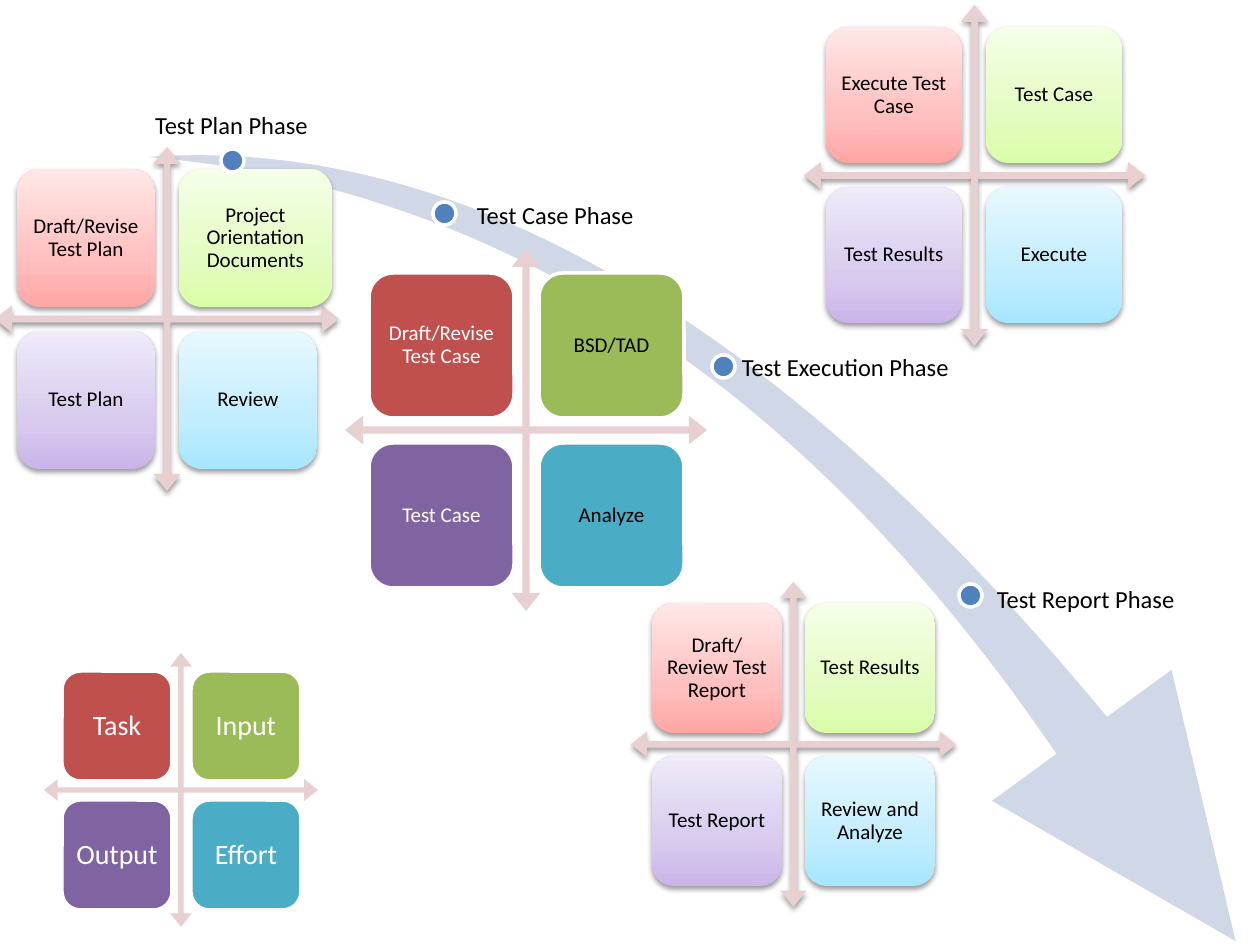
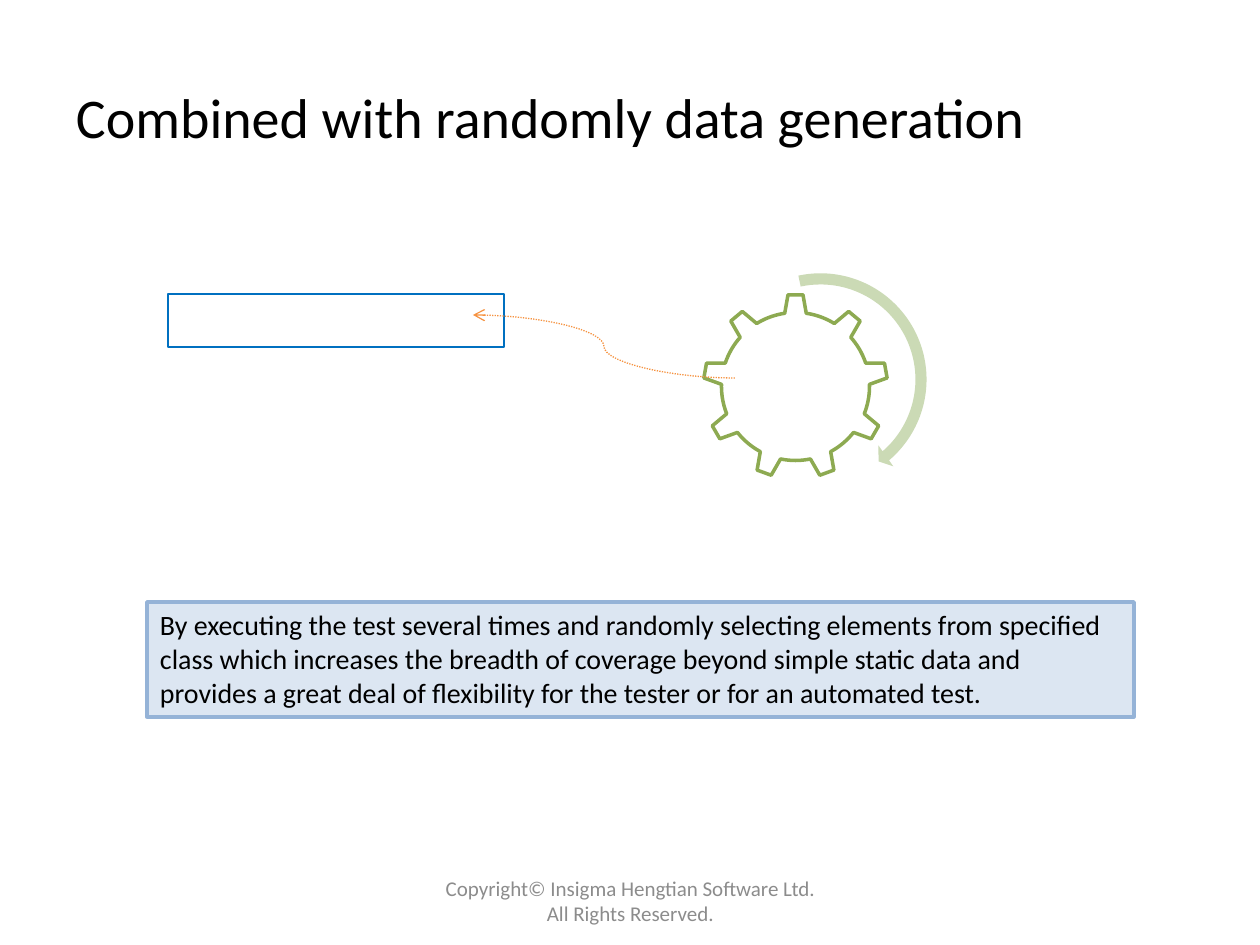
"""Build two slides: the four phases of testing, and random data generation."""
import copy
import dataclasses
import typing

import lxml.etree
import pptx
import pptx.dml.color
import pptx.enum.dml
import pptx.enum.shapes
import pptx.enum.text
import pptx.oxml.ns
import pptx.util

PX = 914400 / 126
FONT = "Calibri"
COLORS = {
    "white": "FFFFFF", "black": "000000", "grey": "8C8C8C",
    "swoosh": "D0D8E8", "axes": "E8D0D0", "dot": "4F81BD",
    "red": "C0504D", "green": "9BBB59", "purple": "8064A2", "aqua": "4BACC6",
    "red_0": "FFA6A5", "red_1": "FFC0BF", "red_2": "FFE7E7",
    "green_0": "DAFDA7", "green_1": "E4FCC2", "green_2": "F5FFE7",
    "purple_0": "C9B5E8", "purple_1": "D8CBEE", "purple_2": "F0EAF9",
    "aqua_0": "A7E6FF", "aqua_1": "C1EDFF", "aqua_2": "E7F8FF",
    "gear": "8DAA51", "turn": "CBDAB5", "field": "0070C0", "link": "F69240",
    "note": "DCE6F2", "note_edge": "95B3D7",
}
HUES = ("red", "green", "purple", "aqua")
STOPS = (0, 0.35, 1)
SHAPE = pptx.enum.shapes.MSO_SHAPE
ALIGN = pptx.enum.text.PP_ALIGN
ANCHOR = pptx.enum.text.MSO_ANCHOR
Box = tuple[int, int, int, int]


@dataclasses.dataclass
class Matrix:
    left: int
    top: int
    size: int
    words: tuple[str, str, str, str]
    glossy: bool = True
    inks: tuple[str, ...] = ("black",) * 4
    font_size: int = 12
    inset: int = 6
    extra_widths: tuple[int, ...] = (0, 0, 0, 0)


@dataclasses.dataclass
class Phase:
    name: str
    dot: tuple[int, int]
    label: Box
    indent: int


LEGEND = Matrix(44, 653, 274, ("Task", "Input", "Output", "Effort"), False,
                ("white",) * 4, 16, 4)
MATRICES = (
    Matrix(345, 249, 362,
           ("Draft/Revise Test Case", "BSD/TAD", "Test Case", "Analyze"),
           False, ("white", "black", "white", "black")),
    Matrix(-5, 147, 344,
           ("Draft/Revise Test Plan", "Project Orientation Documents",
            "Test Plan", "Review"), extra_widths=(0, 15, 0, 0)),
    LEGEND,
    Matrix(631, 582, 325,
           ("Draft/Review Test Report", "Test Results", "Test Report",
            "Review and Analyze")),
)
EXECUTION = Matrix(804, 5, 341,
                   ("Execute Test Case", "Test Case", "Test Results", "Execute"))
PHASES = (
    Phase("Test Plan Phase", (221, 149), (142, 113, 170, 42), 13),
    Phase("Test Case Phase", (433, 202), (456, 203, 209, 42), 21),
    Phase("Test Execution Phase", (712, 355), (714, 355, 275, 52), 28),
    Phase("Test Report Phase", (959, 584), (959, 587, 255, 43), 38),
)


def px(value: float) -> int:
    return round(value * PX)


def rgb(name: str) -> pptx.dml.color.RGBColor:
    return pptx.dml.color.RGBColor.from_string(COLORS[name])


def put_text(sp: typing.Any, text: str, *, size: int, color: str = "black",
             align: typing.Any = ALIGN.LEFT, anchor: typing.Any = ANCHOR.TOP,
             insets: Box = (13, 6, 13, 6), spacing: float = 1.0) -> None:
    tf = sp.text_frame
    tf.word_wrap = True
    tf.vertical_anchor = anchor
    tf.margin_left, tf.margin_top, tf.margin_right, tf.margin_bottom = map(px, insets)
    p = tf.paragraphs[0]
    p.alignment = align
    p.line_spacing = spacing
    r = p.add_run()
    r.text = text
    r.font.name = FONT
    r.font.size = pptx.util.Pt(size)
    r.font.color.rgb = rgb(color)


def add_shape(s: typing.Any, kind: typing.Any, box: Box, fill: str,
              line: str | None = None, width: float = 2,
              adjustments: tuple[float, ...] = ()) -> typing.Any:
    sp = s.shapes.add_shape(kind, *map(px, box))
    sp.shadow.inherit = False
    for i, value in enumerate(adjustments):
        sp.adjustments[i] = value
    sp.fill.solid()
    sp.fill.fore_color.rgb = rgb(fill)
    if line:
        sp.line.color.rgb = rgb(line)
        sp.line.width = pptx.util.Pt(width)
    else:
        sp.line.fill.background()
    return sp


def add_label(s: typing.Any, box: Box, text: str, **fmt: typing.Any) -> None:
    put_text(s.shapes.add_textbox(*map(px, box)), text, **fmt)


def add_shadow(sp: typing.Any) -> None:
    qn = pptx.oxml.ns.qn
    effects = sp._element.spPr.find(qn("a:effectLst"))
    shadow = lxml.etree.SubElement(
        effects, qn("a:outerShdw"), blurRad=str(pptx.util.Pt(3.15)),
        dist=str(pptx.util.Pt(1.6)), dir="5400000", rotWithShape="0")
    color = lxml.etree.SubElement(shadow, qn("a:srgbClr"), val=COLORS["black"])
    lxml.etree.SubElement(color, qn("a:alpha"), val="38000")


def add_gradient(sp: typing.Any, hue: str) -> None:
    sp.fill.gradient()
    sp.fill.gradient_angle = 90
    first = sp._element.spPr.find(".//" + pptx.oxml.ns.qn("a:gs"))
    first.addnext(copy.deepcopy(first))
    for i, stop in enumerate(sp.fill.gradient_stops):
        stop.color.rgb = rgb(f"{hue}_{i}")
        stop.position = STOPS[i]


def add_matrix(s: typing.Any, m: Matrix) -> None:
    axes = add_shape(s, SHAPE.QUAD_ARROW, (m.left, m.top, m.size, m.size), "axes",
                     adjustments=(0.02, 0.04, 0.05))
    if m.glossy:
        add_shadow(axes)
    side = round(0.4 * m.size)
    offsets = (round(0.065 * m.size), round(0.535 * m.size))
    for i, (word, hue, ink) in enumerate(zip(m.words, HUES, m.inks)):
        row, col = divmod(i, 2)
        box = (m.left + offsets[col], m.top + offsets[row],
               side + m.extra_widths[i], side)
        card = add_shape(s, SHAPE.ROUNDED_RECTANGLE, box, hue,
                         None if m.glossy else "white")
        if m.glossy:
            add_gradient(card, hue)
            add_shadow(card)
        put_text(card, word, size=m.font_size, color=ink, align=ALIGN.CENTER,
                 anchor=ANCHOR.MIDDLE, insets=(m.inset,) * 4, spacing=0.9)


def add_link(s: typing.Any, start: tuple[int, int], end: tuple[int, int]) -> None:
    qn = pptx.oxml.ns.qn
    link = s.shapes.add_connector(pptx.enum.shapes.MSO_CONNECTOR.CURVE,
                                  *map(px, start + end))
    link.line.color.rgb = rgb("link")
    link.line.width = pptx.util.Pt(0.75)
    link.line.dash_style = pptx.enum.dml.MSO_LINE.ROUND_DOT
    spPr = link._element.spPr
    lxml.etree.SubElement(spPr.find(qn("a:ln")), qn("a:headEnd"), type="arrow")
    lxml.etree.SubElement(spPr, qn("a:effectLst"))


def build_phases(prs: typing.Any) -> None:
    s = prs.slides.add_slide(prs.slide_layouts[6])
    swoosh = add_shape(s, SHAPE.SWOOSH_ARROW, (116, 212, 1220, 635), "swoosh",
                       adjustments=(0.098, 0.407))
    swoosh.rotation = 60.3
    for m in MATRICES:
        add_matrix(s, m)
    for phase in PHASES:
        add_shape(s, SHAPE.OVAL, (*phase.dot, 23, 23), "dot", "white")
    for phase in PHASES:
        add_label(s, phase.label, phase.name, size=14,
                  insets=(phase.indent, 0, 0, 0), spacing=0.9)
    add_matrix(s, EXECUTION)


def build_random_data(prs: typing.Any) -> None:
    s = prs.slides.add_slide(prs.slide_layouts[5])
    add_shape(s, SHAPE.GEAR_9, (703, 294, 185, 185), "white", "gear")
    add_shape(s, SHAPE.CIRCULAR_ARROW, (707, 266, 227, 227), "turn",
              adjustments=(0.049, 3.126, 29.66, 154.809, 0.057))
    title = s.shapes.title
    title.left, title.top, title.width, title.height = map(px, (63, 38, 1134, 157))
    put_text(title, "Combined with randomly data generation", size=32,
             anchor=ANCHOR.MIDDLE)
    add_shape(s, SHAPE.RECTANGLE, (168, 294, 336, 53), "white", "field", 1)
    add_link(s, (473, 315), (735, 378))
    note = add_shape(s, SHAPE.RECTANGLE, (147, 602, 987, 115), "note", "note_edge")
    put_text(note, "By executing the test several times and randomly selecting "
             "elements from specified class which increases the breadth of coverage "
             "beyond simple static data and provides a great deal of flexibility "
             "for the tester or for an automated test.", size=16)
    add_label(s, (431, 876, 399, 50),
              "Copyright© Insigma Hengtian Software Ltd. All Rights Reserved.",
              size=12, color="grey", align=ALIGN.CENTER, anchor=ANCHOR.MIDDLE)


def main() -> None:
    prs = pptx.Presentation()
    prs.slide_width, prs.slide_height = px(1260), px(945)
    build_phases(prs)
    build_random_data(prs)
    prs.save("out.pptx")


if __name__ == "__main__":
    main()
